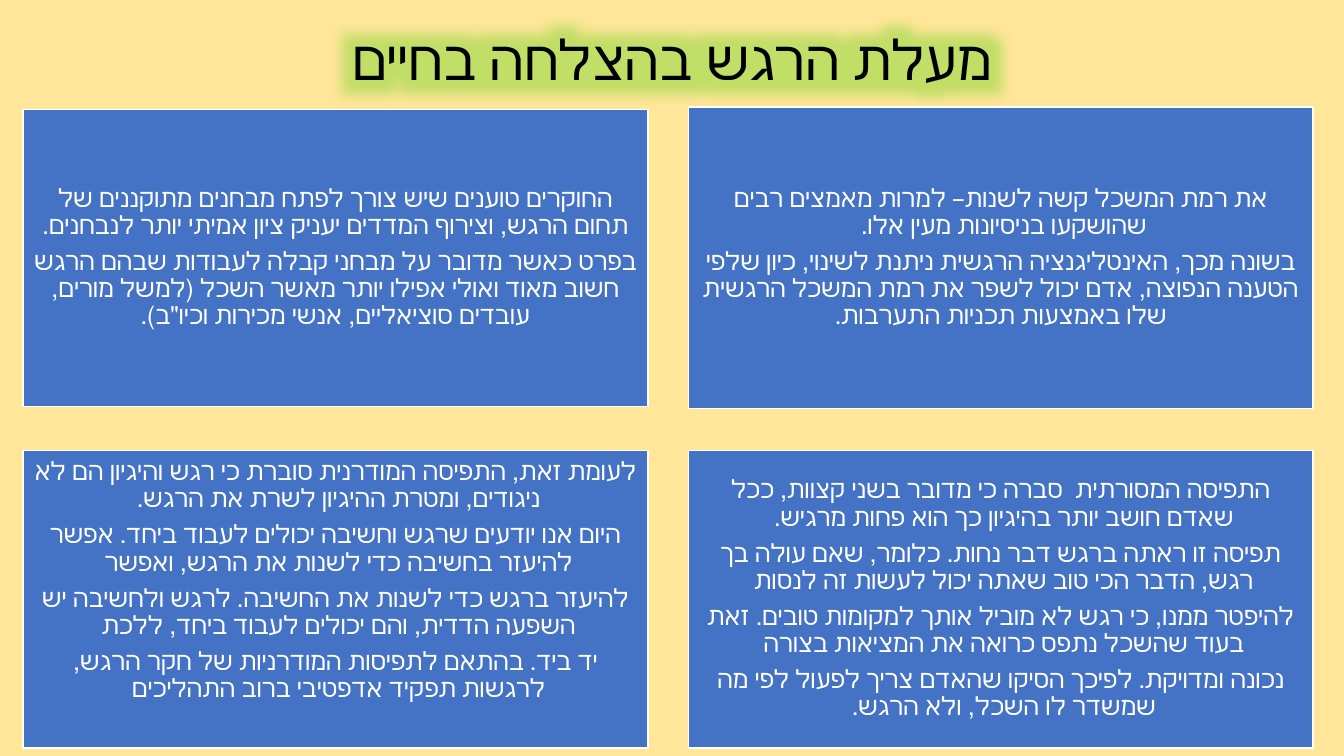
import pptx
import pptx.dml.color
import pptx.enum.shapes
import pptx.enum.text
import pptx.oxml.ns
import pptx.util
from lxml import etree

Pt = pptx.util.Pt
RGBColor = pptx.dml.color.RGBColor
qn = pptx.oxml.ns.qn

CREAM = RGBColor(0xFF, 0xE6, 0x99)
BLUE = RGBColor(0x44, 0x72, 0xC4)
WHITE = RGBColor(0xFF, 0xFF, 0xFF)
BLACK = RGBColor(0, 0, 0)
GLOW_GREEN = RGBColor(0x64, 0xD2, 0x1C)
FONT = "Calibri"
INSET = 5

TITLE = "מעלת הרגש בהצלחה בחיים"
TESTING = [
    "החוקרים טוענים שיש צורך לפתח מבחנים מתוקננים של תחום הרגש, וצירוף המדדים יעניק ציון אמיתי יותר לנבחנים.",
    "בפרט כאשר מדובר על מבחני קבלה לעבודות שבהם הרגש חשוב מאוד ואולי אפילו יותר מאשר השכל "
    "(למשל מורים, עובדים סוציאליים, אנשי מכירות וכיו\"ב).",
]
CHANGE = [
    "את רמת המשכל קשה לשנות– למרות מאמצים רבים שהושקעו בניסיונות מעין אלו. ",
    "בשונה מכך, האינטליגנציה הרגשית ניתנת לשינוי, כיון שלפי הטענה הנפוצה, אדם יכול לשפר את "
    "רמת המשכל הרגשית שלו באמצעות תכניות התערבות.",
]
MODERN = [
    "לעומת זאת, התפיסה המודרנית סוברת כי רגש והיגיון הם לא ניגודים, ומטרת ההיגיון לשרת את הרגש. ",
    "היום אנו יודעים שרגש וחשיבה יכולים לעבוד ביחד. אפשר להיעזר בחשיבה כדי לשנות את הרגש, ואפשר ",
    "להיעזר ברגש כדי לשנות את החשיבה. לרגש ולחשיבה יש השפעה הדדית, והם יכולים לעבוד ביחד, ללכת ",
    "יד ביד. בהתאם לתפיסות המודרניות של חקר הרגש, לרגשות תפקיד אדפטיבי ברוב התהליכים ",
]
TRADITIONAL = [
    "התפיסה המסורתית  סברה כי מדובר בשני קצוות, ככל שאדם חושב יותר בהיגיון כך הוא פחות מרגיש. ",
    "תפיסה זו ראתה ברגש דבר נחות. כלומר, שאם עולה בך רגש, הדבר הכי טוב שאתה יכול לעשות זה לנסות ",
    "להיפטר ממנו, כי רגש לא מוביל אותך למקומות טובים. זאת בעוד שהשכל נתפס כרואה את המציאות בצורה ",
    "נכונה ומדויקת. לפיכך הסיקו שהאדם צריך לפעול לפי מה שמשדר לו השכל, ולא הרגש. ",
]


def format_hebrew(para, size, color):
    """Centre a right-to-left paragraph and set its font."""
    para.alignment = pptx.enum.text.PP_ALIGN.CENTER
    para.line_spacing = 0.9
    para.font.size = Pt(size)
    para.font.name = FONT
    para.font.color.rgb = color
    para._p.get_or_add_pPr().set("rtl", "1")


def add_glow(span, radius, color, opacity):
    """Give the text of a run a soft coloured glow."""
    effects = etree.SubElement(span._r.get_or_add_rPr(), qn("a:effectLst"))
    glow = etree.SubElement(effects, qn("a:glow"), rad=str(Pt(radius)))
    tint = etree.SubElement(glow, qn("a:srgbClr"), val=str(color))
    etree.SubElement(tint, qn("a:alpha"), val=str(opacity * 1000))


def fill_title(page, left, top, width, height):
    """Place the glowing heading in the title placeholder."""
    title = page.shapes.title
    title.left, title.top, title.width, title.height = map(Pt, (left, top, width, height))
    frame = title.text_frame
    frame.word_wrap = True
    frame.auto_size = pptx.enum.text.MSO_AUTO_SIZE.NONE
    frame.vertical_anchor = pptx.enum.text.MSO_ANCHOR.MIDDLE
    frame.text = TITLE
    para = frame.paragraphs[0]
    format_hebrew(para, 39.6, BLACK)
    add_glow(para.runs[0], 40, GLOW_GREEN, 40)


def add_panel(page, texts, left, top, width, height, bottom_inset=INSET):
    """Draw one blue panel with its centred paragraphs."""
    box = page.shapes.add_shape(
        pptx.enum.shapes.MSO_SHAPE.RECTANGLE, Pt(left), Pt(top), Pt(width), Pt(height))
    box.shadow.inherit = False
    box.fill.solid()
    box.fill.fore_color.rgb = BLUE
    box.line.color.rgb = WHITE
    box.line.width = Pt(1)
    frame = box.text_frame
    frame.word_wrap = True
    frame.vertical_anchor = pptx.enum.text.MSO_ANCHOR.MIDDLE
    frame.margin_left = frame.margin_right = frame.margin_top = Pt(INSET)
    frame.margin_bottom = Pt(bottom_inset)
    frame.text = "\n".join(texts)
    for para in frame.paragraphs:
        format_hebrew(para, 18, WHITE)
        para.space_after = Pt(6.3)


def add_panels(page, left, top, width, height):
    """Arrange the four panels in two columns and two rows."""
    right, lower = left + 475.2, top + 243.8
    add_panel(page, TESTING, left, top, width, height)
    add_panel(page, CHANGE, right, top - 1.5, width, height + 3)
    add_panel(page, MODERN, left, lower, width, height, bottom_inset=31)
    add_panel(page, TRADITIONAL, right, lower, width, height)


def main():
    """Build and save the slide."""
    deck = pptx.Presentation()
    deck.slide_width, deck.slide_height = Pt(960), Pt(540)
    page = deck.slides.add_slide(deck.slide_layouts[5])
    page.background.fill.solid()
    page.background.fill.fore_color.rgb = CREAM
    fill_title(page, 66, 28.8, 828, 31.7)
    add_panels(page, 16.4, 78, 446.4, 212.4)
    deck.save("out.pptx")


if __name__ == "__main__":
    main()
